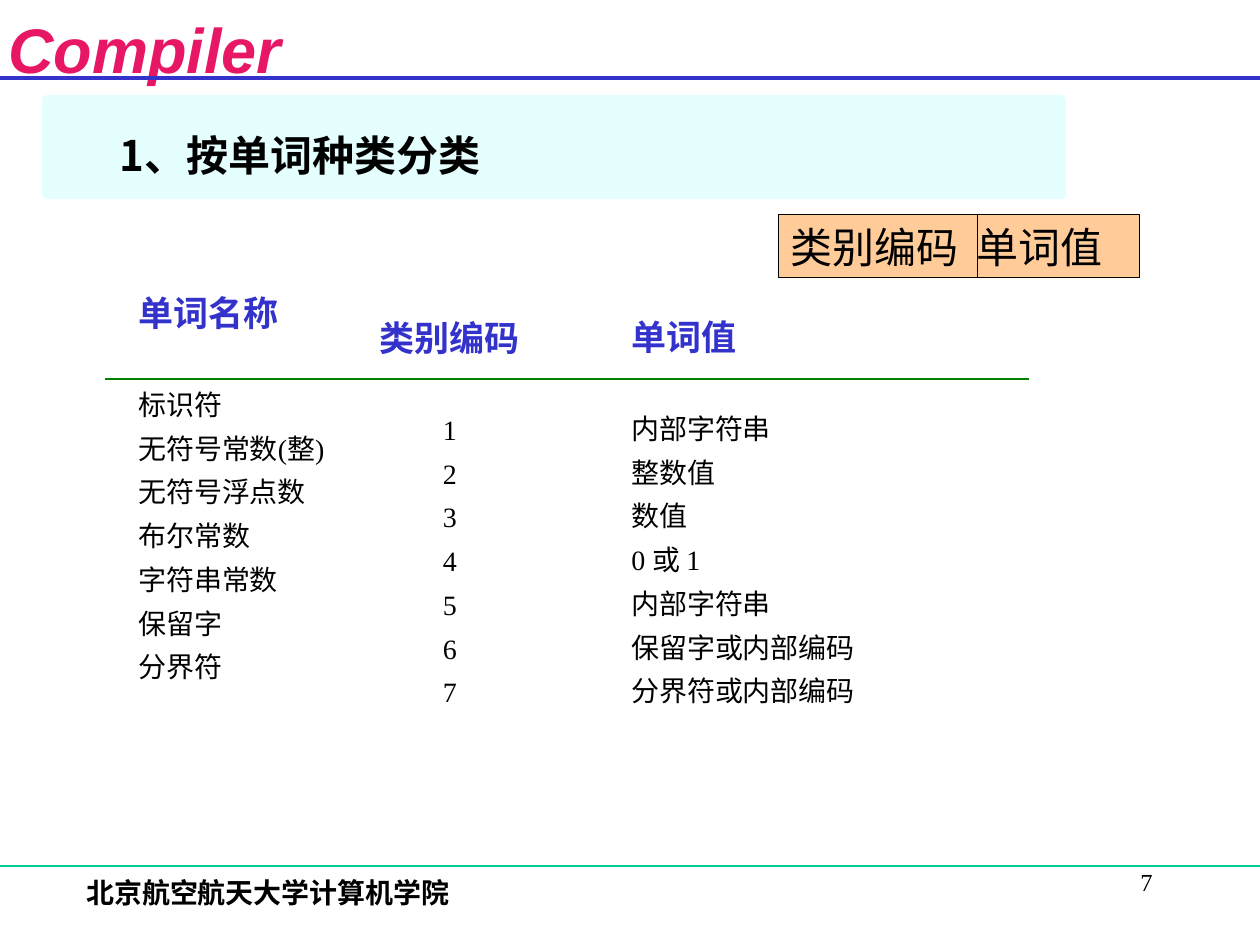
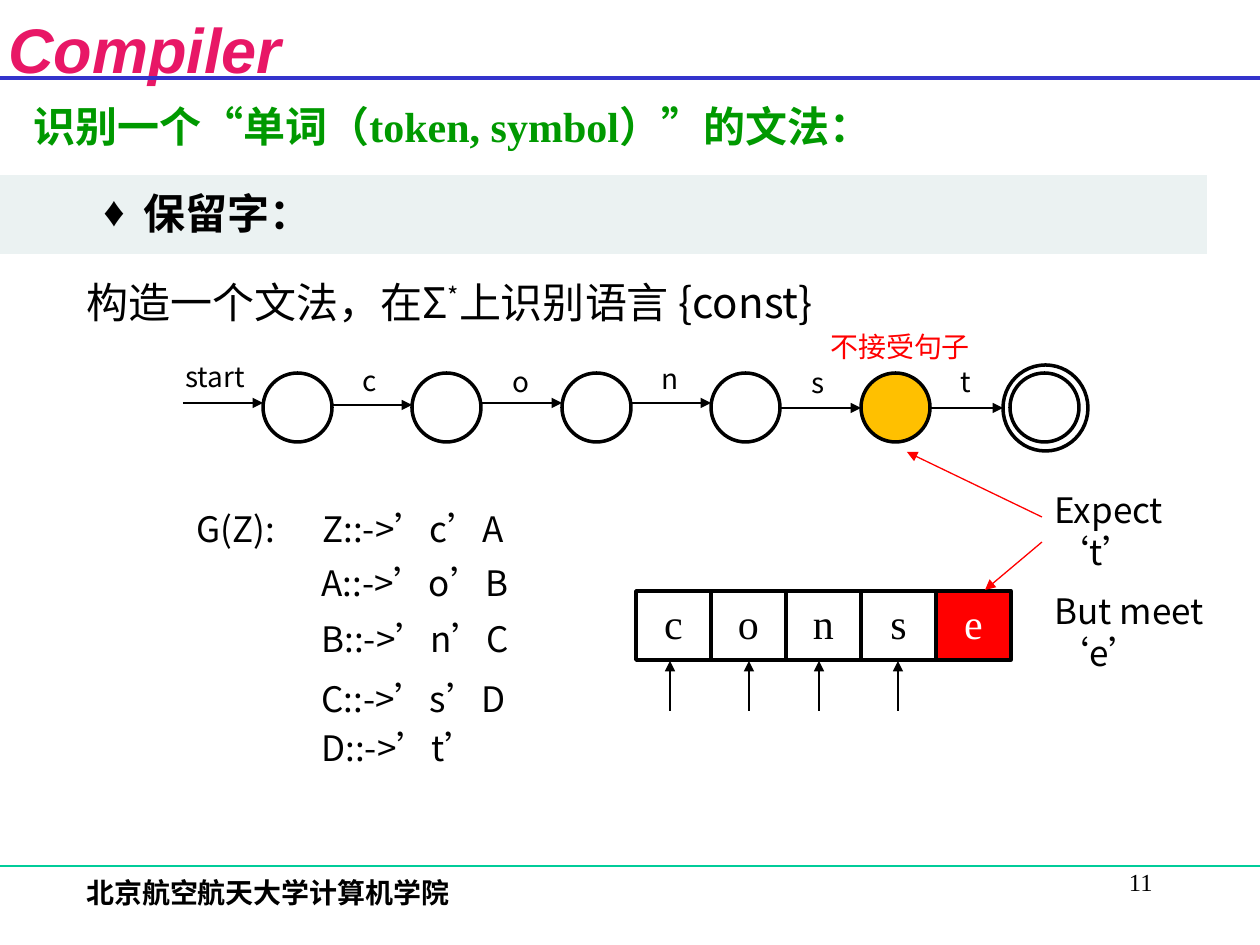
from lxml import etree
from pptx import Presentation
from pptx.dml.color import RGBColor
from pptx.enum.shapes import MSO_CONNECTOR, MSO_SHAPE
from pptx.enum.text import MSO_ANCHOR, PP_ALIGN
from pptx.oxml.ns import qn
from pptx.util import Emu, Pt

RECT, ROUND, OVAL = MSO_SHAPE.RECTANGLE, MSO_SHAPE.ROUNDED_RECTANGLE, MSO_SHAPE.OVAL
LEFT, CENTER, RIGHT = PP_ALIGN.LEFT, PP_ALIGN.CENTER, PP_ALIGN.RIGHT
TOP, MIDDLE = MSO_ANCHOR.TOP, MSO_ANCHOR.MIDDLE
STRAIGHT = MSO_CONNECTOR.STRAIGHT

SERIF, SANS, TITLE = "Times New Roman", "Noto Sans CJK SC", "Arial"
BLACK, WHITE, RED = "000000", "FFFFFF", "FF0000"
BLUE, PINK, TEAL = "3333CC", "E81766", "00CC99"
GREEN, DARK_GREEN = "009900", "008000"
CYAN, PEACH, MIST, AMBER = "CCFFFF", "FFCC99", "D9E6E6", "FFC000"


def px(n):
    """Turn px into EMU."""
    return Emu(round(n * 914400 / 126))


def rgb(value):
    """Turn a hex string into a colour."""
    return RGBColor.from_string(value)


def sub(parent, tag, **attrs):
    """Append an XML element with attributes."""
    el = etree.SubElement(parent, qn(tag))
    for key, value in attrs.items():
        el.set(key, str(value))
    return el


def para(p, text, size, color=BLACK, font=SERIF, bold=False, italic=False,
         align=LEFT, leading=1.2, before=0, tab=None, bullet=None):
    """Fill and style one paragraph."""
    p.alignment = align
    p.line_spacing = Pt(round(size * leading, 1))
    p.space_before = Pt(before)
    pPr = p._p.get_or_add_pPr()
    if bullet:
        pPr.set("marL", str(px(131)))
        pPr.set("indent", str(px(-40)))
        sub(pPr, "a:buFont", typeface=SERIF)
        sub(pPr, "a:buChar", char=bullet)
    if tab:
        sub(sub(pPr, "a:tabLst"), "a:tab", pos=px(tab), algn="l")
    f = p.font
    f.size, f.bold, f.italic, f.name = Pt(size), bold, italic, font
    f.color.rgb = rgb(color)
    sub(f._element, "a:ea", typeface=SANS)
    if text:
        p.add_run().text = text


def add_text(s, x, y, w, h, text, size, **style):
    """Add a text box with one paragraph and return its frame."""
    tf = s.shapes.add_textbox(px(x), px(y), px(w), px(h)).text_frame
    tf.word_wrap = True
    para(tf.paragraphs[0], text, size, **style)
    return tf


def add_shape(s, kind, x, y, w, h, fill, line=None, width=2, alpha=None):
    """Add a filled preset shape."""
    sp = s.shapes.add_shape(kind, px(x), px(y), px(w), px(h))
    sp.shadow.inherit = False
    sp.fill.solid()
    sp.fill.fore_color.rgb = rgb(fill)
    if alpha:
        color = sp._element.spPr.find(qn("a:solidFill"))[0]
        sub(color, "a:alpha", val=alpha * 1000)
    if line:
        sp.line.color.rgb = rgb(line)
        sp.line.width = Pt(width)
    else:
        sp.line.fill.background()
    return sp


def label_shape(sp, text, size, anchor=MIDDLE, inset=None, **style):
    """Write one paragraph into a shape."""
    tf = sp.text_frame
    tf.vertical_anchor = anchor
    if inset is not None:
        tf.margin_left = px(inset)
    para(tf.paragraphs[0], text, size, **style)


def add_line(s, x1, y1, x2, y2, color=BLACK, width=0.75, arrow=False):
    """Add a straight line, with an arrowhead at its end if asked."""
    c = s.shapes.add_connector(STRAIGHT, px(x1), px(y1), px(x2), px(y2))
    c.line.color.rgb = rgb(color)
    c.line.width = Pt(width)
    if arrow:
        sub(c.line._get_or_add_ln(), "a:tailEnd", type="triangle")
    sub(c._element.spPr, "a:effectLst")


def add_frame(prs, number):
    """Add a blank slide with the course title, rules and footer."""
    s = prs.slides.add_slide(prs.slide_layouts[6])
    add_text(s, 903, 861, 262, 63, number, 14, align=RIGHT)
    tf = add_text(s, 0, 7, 290, 78, "Compiler", 36, color=PINK, font=TITLE,
                  bold=True, italic=True, align=CENTER, leading=1.15)
    tf.margin_left = tf.margin_right = 0
    add_line(s, 0, 78, 1260, 78, BLUE, 2.25)
    add_text(s, 74, 869, 522, 63, "北京航空航天大学计算机学院", 16, bold=True)
    add_line(s, 0, 866, 1260, 866, TEAL)
    return s


def add_column(s, x, y, w, heading, items, align=LEFT):
    """Add a column of entries under a heading."""
    tf = add_text(s, x, y, w, 417, heading, 20, color=BLUE, bold=True,
                  align=align, leading=1.55)
    for i, item in enumerate(items):
        para(tf.add_paragraph(), item, 16, align=align, leading=1.56,
             before=0 if i else 25)


def build_categories(prs):
    """Build the slide on word categories."""
    s = add_frame(prs, "7")
    add_column(s, 126, 273, 212, "单词名称",
               ["标识符", "无符号常数(整)", "无符号浮点数", "布尔常数",
                "字符串常数", "保留字", "分界符"])
    add_column(s, 367, 298, 166, "类别编码", "1234567", CENTER)
    add_column(s, 619, 297, 250, "单词值",
               ["内部字符串", "整数值", "数值", "0 或 1", "内部字符串",
                "保留字或内部编码", "分界符或内部编码"])
    add_line(s, 105, 379, 1029, 379, DARK_GREEN, 1.5)

    band = add_shape(s, ROUND, 42, 95, 1024, 104, CYAN, alpha=50)
    band.adjustments[0] = 0.05
    label_shape(band, "1、按单词种类分类", 24, inset=76, font=SANS,
                bold=True, leading=1.56)
    pair = add_shape(s, RECT, 778, 215, 362, 63, PEACH, BLACK, 0.5)
    label_shape(pair, "类别编码\t单词值", 24, inset=13, font=SANS, tab=186)
    add_line(s, 977, 214, 977, 278, width=0.5)


def add_automaton(s):
    """Draw the states and transitions that accept const."""
    add_shape(s, OVAL, 1003, 365, 85, 86, WHITE, BLACK)
    edges = [("start", 353, 403), ("c", 357, 405), ("o", 358, 403),
             ("n", 355, 403), ("s", 359, 408), ("t", 358, 408)]
    for i, (label, label_y, arrow_y) in enumerate(edges):
        x = 263 + 299 * i // 2
        add_shape(s, OVAL, x, 373, 69, 69, AMBER if label == "s" else WHITE, BLACK)
        tip = 1003 if label == "t" else x
        add_line(s, x - 80, arrow_y, tip, arrow_y, arrow=True)
        left, w = (173, 159) if label == "start" else (x - 62, 37)
        add_text(s, left, label_y, w, 47, label, 16, font=SANS)


def add_input(s):
    """Draw the input cells and the reading positions."""
    for i, letter in enumerate("conse"):
        wrong = letter == "e"
        cell = add_shape(s, RECT, 636 + 75 * i, 591, 75, 69,
                         RED if wrong else WHITE, BLACK)
        label_shape(cell, letter, 24, anchor=TOP, align=CENTER,
                    color=WHITE if wrong else BLACK)
    for x in (670, 749, 819, 898):
        add_line(s, x, 711, x, 661, arrow=True)


def build_reserved_words(prs):
    """Build the slide on recognising a reserved word."""
    s = add_frame(prs, "11")
    add_text(s, 21, 94, 1029, 63, "识别一个“单词（token, symbol）”的文法：", 24,
             color=GREEN, bold=True)
    band = add_shape(s, RECT, 0, 175, 1207, 79, MIST, alpha=50)
    label_shape(band, "保留字：", 24, bold=True, bullet="♦", leading=1.1)
    tf = add_text(s, 74, 270, 1077, 63, "", 24, font=SANS)
    for text, raised in [("构造一个文法，在Σ", 0), ("*", 30000),
                         ("上识别语言 {const}", 0)]:
        r = tf.paragraphs[0].add_run()
        r.text = text
        if raised:
            r.font._element.set("baseline", str(raised))

    add_automaton(s)
    add_input(s)
    rules = [(184, 501, "G(Z):\tZ::->’c’A"), (183, 555, "\tA::->’o’B"),
             (183, 611, "\tB::->’n’C"), (183, 671, "\tC::->’s’D"),
             (183, 720, "\tD::->’t’")]
    for x, y, rule in rules:
        add_text(s, x, y, 486, 55, rule, 20, font=SANS, tab=126)

    add_line(s, 1042, 542, 985, 590, RED, arrow=True)
    add_line(s, 1042, 517, 907, 452, RED, arrow=True)
    tf = add_text(s, 1042, 482, 208, 118, "Expect ‘t’", 20, font=SANS)
    para(tf.add_paragraph(), "But meet ‘e’", 20, font=SANS, before=10)
    add_text(s, 818, 323, 251, 47, "不接受句子", 16, color=RED, font=SANS)


def main():
    """Build and save the presentation."""
    prs = Presentation()
    prs.slide_width, prs.slide_height = px(1260), px(945)
    build_categories(prs)
    build_reserved_words(prs)
    prs.save("out.pptx")


if __name__ == "__main__":
    main()
